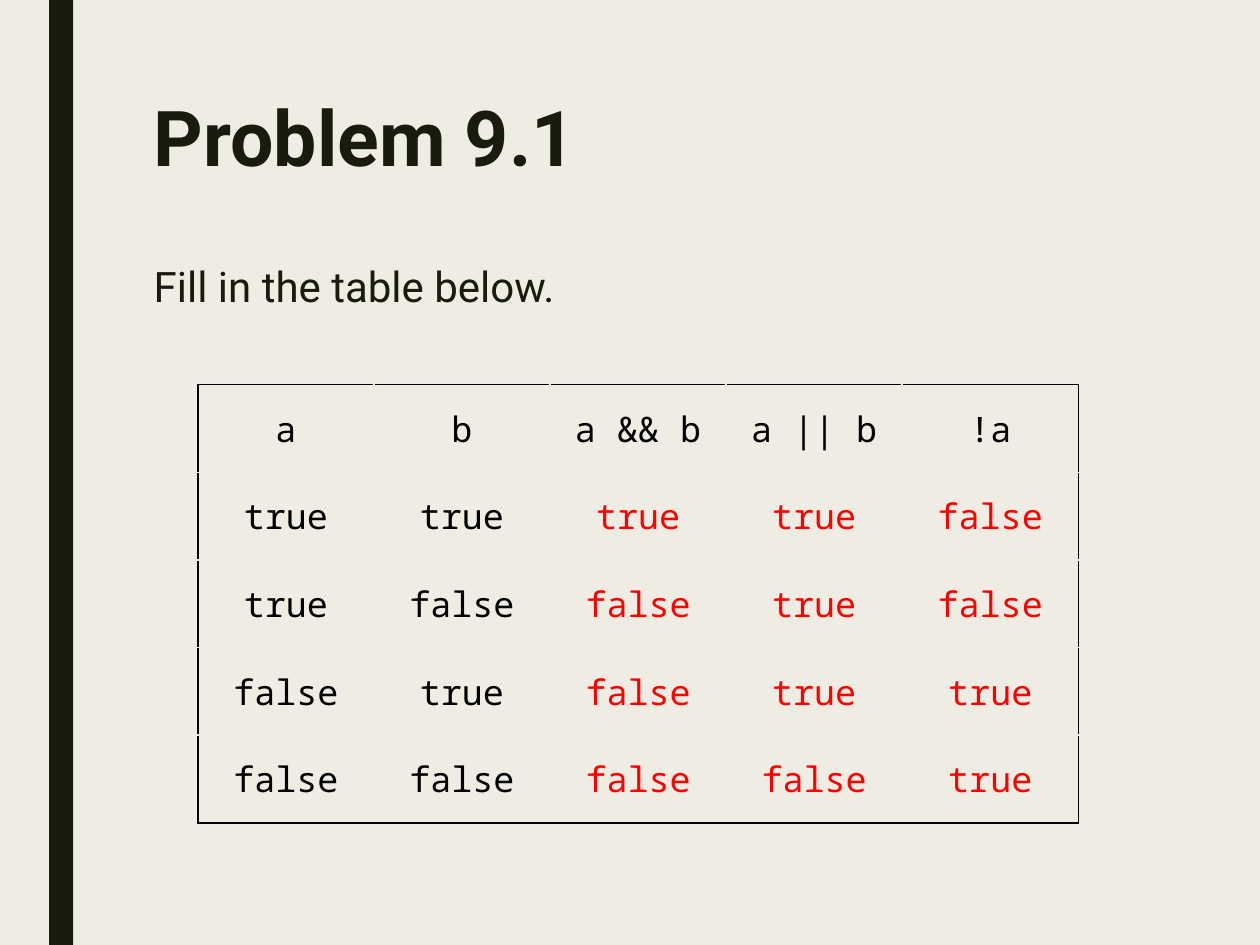
from dataclasses import dataclass

import pptx
import pptx.dml.color
import pptx.enum.shapes
import pptx.enum.text
import pptx.oxml
import pptx.oxml.ns
import pptx.util


@dataclass(frozen=True)
class Theme:
    paper: str = "EFEDE3"
    ink: str = "191B0E"
    given: str = "000000"
    answer: str = "FF0000"
    text_font: str = "Roboto"
    code_font: str = "Noto Sans Mono"
    title_size: int = 44
    body_size: int = 24
    cell_size: int = 20
    border: int = 1


HEADER = ["a", "b", "a && b", "a || b", "!a"]
TRUTH_ROWS = [
    ["true", "true", "true", "true", "false"],
    ["true", "false", "false", "true", "false"],
    ["false", "true", "false", "true", "true"],
    ["false", "false", "false", "false", "true"],
]
GIVEN_COLUMNS = 2


def rgb(color):
    return pptx.dml.color.RGBColor.from_string(color)


class SlideBuilder:
    """Holds the theme and the current slide; boxes are shares of the slide."""

    def __init__(self, prs, theme):
        self.prs, self.theme = prs, theme
        self.slide = prs.slides.add_slide(prs.slide_layouts[1])
        fill = self.slide.background.fill
        fill.solid()
        fill.fore_color.rgb = rgb(theme.paper)

    def box(self, left, top, width, height):
        w, h = self.prs.slide_width, self.prs.slide_height
        return round(left * w), round(top * h), round(width * w), round(height * h)

    def style(self, p, font, size, color, bold=False):
        for r in p.runs:
            r.font.name = font
            r.font.size = pptx.util.Pt(size)
            r.font.bold = bold
            r.font.color.rgb = rgb(color)

    def bar(self, *shares):
        sp = self.slide.shapes.add_shape(
            pptx.enum.shapes.MSO_SHAPE.RECTANGLE, *self.box(*shares))
        sp.shadow.inherit = False
        sp.fill.solid()
        sp.fill.fore_color.rgb = rgb(self.theme.ink)
        sp.line.fill.background()

    def fill_placeholder(self, sp, text, shares, size, bold=False):
        sp.left, sp.top, sp.width, sp.height = self.box(*shares)
        tf = sp.text_frame
        tf.text = text
        tf.vertical_anchor = pptx.enum.text.MSO_ANCHOR.TOP
        tf.auto_size = pptx.enum.text.MSO_AUTO_SIZE.NONE
        p = tf.paragraphs[0]
        p.alignment = pptx.enum.text.PP_ALIGN.LEFT
        p.space_before = pptx.util.Pt(0)
        self.style(p, self.theme.text_font, size, self.theme.ink, bold)
        return p

    def title(self, text, *shares):
        p = self.fill_placeholder(
            self.slide.shapes.title, text, shares, self.theme.title_size, True)
        p.line_spacing = 0.89

    def body(self, text, *shares):
        p = self.fill_placeholder(
            self.slide.placeholders[1], text, shares, self.theme.body_size)
        pPr = p._p.get_or_add_pPr()
        pPr.set("marL", "0")
        pPr.set("indent", "0")
        pptx.oxml.ns.qn("a:buNone")
        pPr.append(pptx.oxml.parse_xml(
            f'<a:buNone {pptx.oxml.ns.nsdecls("a")}/>'))

    def borders(self, cell, outer_sides):
        """Draw outer sides dark and inner sides in the paper colour."""
        tcPr = cell._tc.get_or_add_tcPr()
        for side in "LRTB":
            color = self.theme.given if side in outer_sides else self.theme.paper
            tcPr.append(pptx.oxml.parse_xml(
                f'<a:ln{side} {pptx.oxml.ns.nsdecls("a")} '
                f'w="{pptx.util.Pt(self.theme.border)}"><a:solidFill>'
                f'<a:srgbClr val="{color}"/></a:solidFill></a:ln{side}>'))

    def truth_table(self, rows, *shares):
        n_rows, n_cols = len(rows), len(rows[0])
        table = self.slide.shapes.add_table(
            n_rows, n_cols, *self.box(*shares)).table
        table.first_row = table.horz_banding = False
        for i, row in enumerate(rows):
            for j, text in enumerate(row):
                cell = table.cell(i, j)
                edges = {"L": j == 0, "R": j == n_cols - 1,
                         "T": i == 0, "B": i == n_rows - 1}
                self.borders(cell, [side for side in edges if edges[side]])
                cell.fill.solid()
                cell.fill.fore_color.rgb = rgb(self.theme.paper)
                cell.vertical_anchor = pptx.enum.text.MSO_ANCHOR.MIDDLE
                cell.text_frame.text = text
                p = cell.text_frame.paragraphs[0]
                p.alignment = pptx.enum.text.PP_ALIGN.CENTER
                is_given = i == 0 or j < GIVEN_COLUMNS
                color = self.theme.given if is_given else self.theme.answer
                self.style(p, self.theme.code_font, self.theme.cell_size, color)


def main():
    prs = pptx.Presentation()
    prs.slide_width = pptx.util.Inches(10)
    prs.slide_height = pptx.util.Inches(7.5)
    theme = Theme()
    s = SlideBuilder(prs, theme)
    s.bar(0.039, 0, 0.019, 1)
    s.title("Problem 9.1", 0.112, 0.1, 0.788, 0.216)
    s.body("Fill in the table below.", 0.112, 0.269, 0.788, 0.563)
    s.truth_table([HEADER] + TRUTH_ROWS, 0.157, 0.407, 0.699, 0.464)
    prs.save("out.pptx")


if __name__ == "__main__":
    main()
